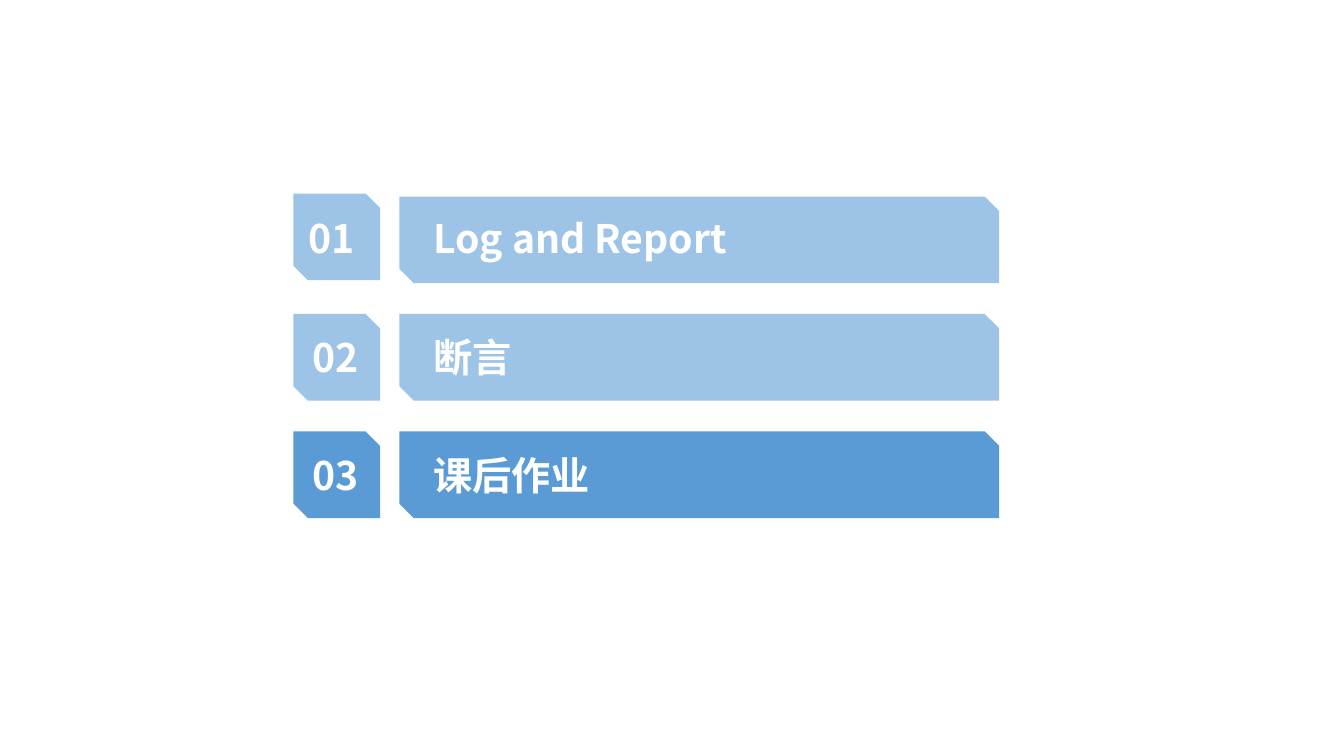
import pptx
import pptx.util
import pptx.dml.color
import pptx.enum.shapes
import pptx.enum.text
import pptx.oxml.ns
import lxml.etree

Inches = pptx.util.Inches

THEME = {
    "active": pptx.dml.color.RGBColor.from_string("5B9BD5"),
    "inactive": pptx.dml.color.RGBColor.from_string("9DC3E6"),
    "text": pptx.dml.color.RGBColor.from_string("FFFFFF"),
    "font": "Noto Sans CJK SC",
    "size": pptx.util.Pt(28),
}

# Grid: a square number column, a wide topic column and three equal rows
NUMBER_LEFT, TOPIC_LEFT = 2.91, 3.96
TOPIC_WIDTH, ROW_HEIGHT = 5.95, 0.86
FIRST_TOP, LAST_TOP = 1.95, 4.28
LABEL_LEFT, LABEL_HEIGHT, NUMBER_WIDTH = 4.2, 0.57, 0.68

# Number, topic, colour, topic width, number text left, lift of tile and of text
AGENDA = [
    ("01", "Log and Report", "inactive", 3.23, 2.96, 0.03, 0.02),
    ("02", "断言", "inactive", 0.98, 3.0, 0, 0),
    ("03", "课后作业", "active", 1.76, 3.0, 0, 0),
]
ROW_PITCH = (LAST_TOP - FIRST_TOP) / (len(AGENDA) - 1)


def add_panel(slide, left, top, width, color):
    shape = slide.shapes.add_shape(
        pptx.enum.shapes.MSO_SHAPE.SNIP_2_DIAG_RECTANGLE,
        Inches(left), Inches(top), Inches(width), Inches(ROW_HEIGHT))
    shape.shadow.inherit = False
    shape.fill.solid()
    shape.fill.fore_color.rgb = color
    shape.line.fill.background()


def add_label(slide, text, left, top, width):
    shape = slide.shapes.add_textbox(
        Inches(left), Inches(top), Inches(width), Inches(LABEL_HEIGHT))
    frame_format = {
        "word_wrap": False,
        "auto_size": pptx.enum.text.MSO_AUTO_SIZE.SHAPE_TO_FIT_TEXT,
    }
    for name, value in frame_format.items():
        setattr(shape.text_frame, name, value)
    run = shape.text_frame.paragraphs[0].add_run()
    run.text = text
    font_format = {"name": THEME["font"], "size": THEME["size"], "bold": True}
    for name, value in font_format.items():
        setattr(run.font, name, value)
    run.font.color.rgb = THEME["text"]
    # Chinese characters take their typeface from the East Asian font
    east_asian = lxml.etree.SubElement(
        run.font._element, pptx.oxml.ns.qn("a:ea"))
    east_asian.set("typeface", THEME["font"])


presentation = pptx.Presentation()
presentation.slide_width = Inches(13.33)
presentation.slide_height = Inches(7.5)
slide = presentation.slides.add_slide(presentation.slide_layouts[6])

# Agenda rows
for row, (number, topic, state, topic_width, number_left,
          tile_lift, text_lift) in enumerate(AGENDA):
    top = FIRST_TOP + row * ROW_PITCH
    label_top = top + (ROW_HEIGHT - LABEL_HEIGHT) / 2 - text_lift
    add_panel(slide, NUMBER_LEFT, top - tile_lift, ROW_HEIGHT, THEME[state])
    add_panel(slide, TOPIC_LEFT, top, TOPIC_WIDTH, THEME[state])
    add_label(slide, number, number_left, label_top, NUMBER_WIDTH)
    add_label(slide, topic, LABEL_LEFT, label_top, topic_width)

presentation.save("out.pptx")
